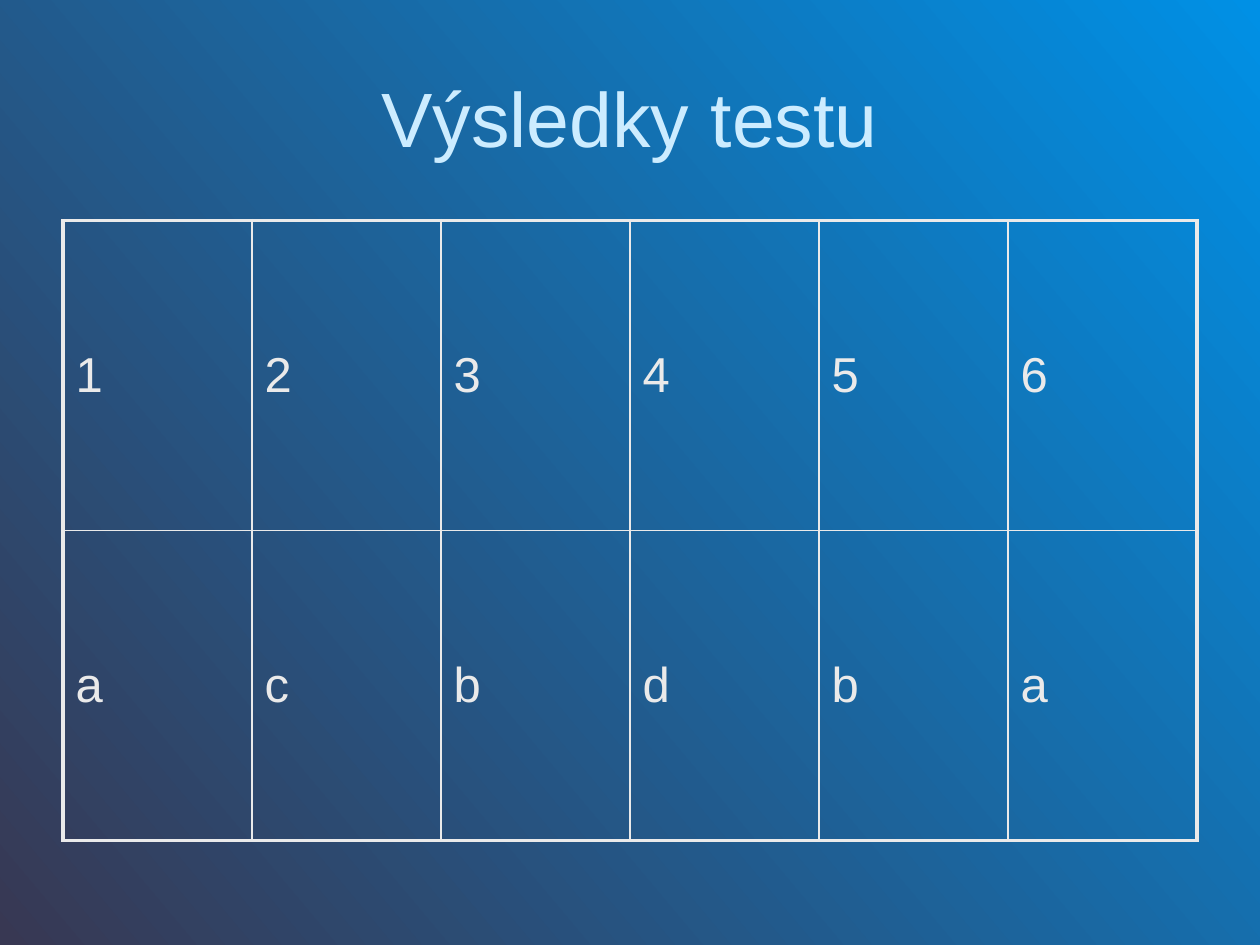
"""Builds the test results slide."""
from dataclasses import dataclass

from lxml import etree
from pptx import Presentation
from pptx.dml.color import RGBColor
from pptx.enum.text import MSO_ANCHOR, PP_ALIGN
from pptx.oxml.ns import qn
from pptx.util import Inches, Pt

MIDDLE = MSO_ANCHOR.MIDDLE
CENTER = PP_ALIGN.CENTER
TITLE_ONLY = 5


@dataclass(frozen=True)
class Theme:
    """Colours, font and sizes of the slide."""
    font: str = "Arial"
    title_color: str = "CCECFF"
    text_color: str = "EAEAEA"
    gradient: tuple = ("0090E5", "383853")
    gradient_angle: int = 220
    title_size: float = 44
    cell_size: float = 28
    cell_spacing: float = 5.6
    outer_line: float = 2.25
    inner_line: float = 1


class SlideBuilder:
    """Adds styled elements to the current slide."""

    def __init__(self, slide, theme):
        self.slide = slide
        self.theme = theme

    def background(self):
        """Fill the background with the theme gradient."""
        fill = self.slide.background.fill
        fill.gradient()
        fill.gradient_angle = self.theme.gradient_angle
        for stop, color in zip(fill.gradient_stops, self.theme.gradient):
            stop.color.rgb = RGBColor.from_string(color)

    def format_text(self, paragraph, size, color):
        """Apply the theme font to every run of a paragraph."""
        for run in paragraph.runs:
            run.font.name = self.theme.font
            run.font.size = Pt(size)
            run.font.color.rgb = RGBColor.from_string(color)

    def title(self, text, left, top, width, height):
        """Place and format the title placeholder."""
        heading = self.slide.shapes.title
        heading.left, heading.top = Inches(left), Inches(top)
        heading.width, heading.height = Inches(width), Inches(height)
        frame = heading.text_frame
        frame.text = text
        frame.vertical_anchor = MIDDLE
        frame.paragraphs[0].alignment = CENTER
        self.format_text(frame.paragraphs[0], self.theme.title_size, self.theme.title_color)

    def border(self, cell, outer_sides):
        """Draw the four cell borders, thicker on the outer sides."""
        properties = cell._tc.get_or_add_tcPr()
        for position, (side, outer) in enumerate(outer_sides.items()):
            width = self.theme.outer_line if outer else self.theme.inner_line
            line = etree.Element(qn(f"a:ln{side}"), w=str(Pt(width)))
            fill = etree.SubElement(line, qn("a:solidFill"))
            etree.SubElement(fill, qn("a:srgbClr"), val=self.theme.text_color)
            properties.insert(position, line)

    def table(self, rows, left, top, width, height):
        """Add an unfilled table with a thick frame."""
        last_row, last_column = len(rows) - 1, len(rows[0]) - 1
        results = self.slide.shapes.add_table(
            len(rows), len(rows[0]),
            Inches(left), Inches(top), Inches(width), Inches(height)).table
        results.first_row = results.horz_banding = False
        for r, values in enumerate(rows):
            for c, value in enumerate(values):
                cell = results.cell(r, c)
                cell.text_frame.text = value
                cell.vertical_anchor = MIDDLE
                cell.fill.background()
                paragraph = cell.text_frame.paragraphs[0]
                paragraph.space_before = Pt(self.theme.cell_spacing)
                self.format_text(paragraph, self.theme.cell_size, self.theme.text_color)
                self.border(cell, {"L": c == 0, "R": c == last_column,
                                   "T": r == 0, "B": r == last_row})


def main():
    """Build and save the presentation."""
    presentation = Presentation()
    presentation.slide_width, presentation.slide_height = Inches(10), Inches(7.5)
    slide = presentation.slides.add_slide(presentation.slide_layouts[TITLE_ONLY])
    builder = SlideBuilder(slide, Theme())
    builder.background()
    builder.title("Výsledky testu", 0.5, 0.3, 9, 1.25)
    builder.table(["123456", "acbdba"], 0.5, 1.75, 9, 4.92)
    presentation.save("out.pptx")


if __name__ == "__main__":
    main()
